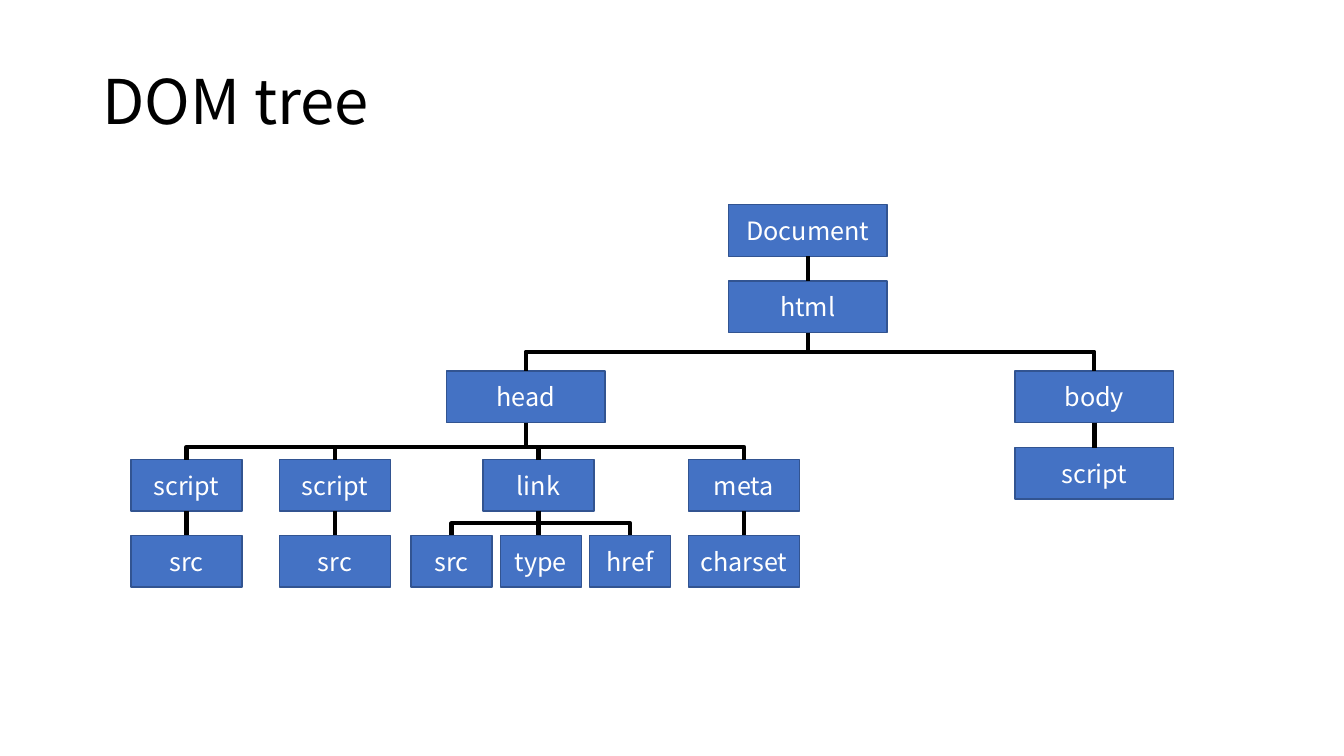
from dataclasses import dataclass
from enum import Enum
from typing import Any

from lxml.etree import SubElement
from pptx import Presentation
from pptx.dml.color import RGBColor
from pptx.enum.shapes import MSO_CONNECTOR, MSO_SHAPE
from pptx.enum.text import MSO_ANCHOR, PP_ALIGN
from pptx.oxml.ns import qn
from pptx.util import Cm, Pt

COLORS = {"box": "4472C4", "border": "325491", "ink": "000000", "label": "FFFFFF"}
FONT = "Noto Sans CJK KR"
TITLE_FONT = {"name": FONT, "size": Pt(44)}
LABEL_FONT = {"name": FONT, "size": Pt(18)}
WIDE, MEDIUM, NARROW = 4.0, 2.8, 2.04
BOX_H = 1.3
BUS_Y = 11.26


class Join(Enum):
    """How a node is joined to its children."""
    FORK = "fork"
    BUS = "bus"


@dataclass(frozen=True)
class Node:
    """A box of the tree: centre x, top and width in cm."""
    label: str
    x: float
    top: float
    width: float = MEDIUM
    children: tuple["Node", ...] = ()
    join: Join = Join.FORK

    @property
    def bottom(self) -> float:
        """Lower edge in cm."""
        return self.top + BOX_H


TAG_Y, ATTR_Y = 11.58, 13.49
ATTRS = tuple(Node(name, 11.38 + 2.25 * i, ATTR_Y, NARROW)
              for i, name in enumerate(("src", "type", "href")))
HEAD = Node("head", 13.25, 9.35, WIDE, (
    Node("script", 4.7, TAG_Y, children=(Node("src", 4.7, ATTR_Y),)),
    Node("script", 8.44, TAG_Y, children=(Node("src", 8.44, ATTR_Y),)),
    Node("link", 13.57, TAG_Y, children=ATTRS),
    Node("meta", 18.75, TAG_Y, children=(Node("charset", 18.75, ATTR_Y),)),
), Join.BUS)
BODY = Node("body", 27.58, 9.35, WIDE, (Node("script", 27.58, 11.28, WIDE),))
HTML = Node("html", 20.36, 7.08, WIDE, (HEAD, BODY))
DOCUMENT = Node("Document", 20.36, 5.16, WIDE, (HTML,))


def rgb(key: str) -> RGBColor:
    """Look up a palette colour."""
    return RGBColor.from_string(COLORS[key])


def apply(target: Any, values: dict[str, Any]) -> None:
    """Set each named attribute on the target."""
    for name, value in values.items():
        setattr(target, name, value)


def write(sp: Any, text: str, font: dict[str, Any], color: str, para: dict[str, Any]) -> None:
    """Put one vertically centred paragraph in a shape."""
    tf = sp.text_frame
    apply(tf, {"word_wrap": True, "vertical_anchor": MSO_ANCHOR.MIDDLE})
    p = tf.paragraphs[0]
    apply(p, para)
    r = p.add_run()
    r.text = text
    apply(r.font, font)
    r.font.color.rgb = rgb(color)


def draw_box(s: Any, node: Node) -> None:
    """Draw a node's labelled rectangle."""
    sp = s.shapes.add_shape(MSO_SHAPE.RECTANGLE, Cm(node.x - node.width / 2),
                            Cm(node.top), Cm(node.width), Cm(BOX_H))
    sp.shadow.inherit = False
    sp.fill.solid()
    sp.fill.fore_color.rgb = rgb("box")
    sp.line.color.rgb = rgb("border")
    sp.line.width = Pt(1)
    write(sp, node.label, LABEL_FONT, "label", {"alignment": PP_ALIGN.CENTER})


def draw_line(s: Any, kind: MSO_CONNECTOR, x1: float, y1: float, x2: float, y2: float) -> Any:
    """Draw a black connector and return its shape properties."""
    sp = s.shapes.add_connector(kind, Cm(x1), Cm(y1), Cm(x2), Cm(y2))
    sp.line.color.rgb = rgb("ink")
    sp.line.width = Pt(3)
    props = sp._element.spPr
    SubElement(props, qn("a:effectLst"))
    return props


def draw_fork(s: Any, node: Node, child: Node) -> None:
    """Join down, across and down, by turning an elbow on its side."""
    dx, dy = abs(child.x - node.x), child.top - node.bottom
    if dx < 0.2:
        draw_line(s, MSO_CONNECTOR.STRAIGHT, node.x, node.bottom, node.x, child.top)
        return
    cx, cy = (node.x + child.x) / 2, (node.bottom + child.top) / 2
    props = draw_line(s, MSO_CONNECTOR.ELBOW, cx - dy / 2, cy - dx / 2,
                      cx + dy / 2, cy + dx / 2)
    to_left = child.x < node.x
    turn = {"rot": "5400000"} if to_left else {"rot": "16200000", "flipH": "1"}
    for name, value in turn.items():
        props.find(qn("a:xfrm")).set(name, value)


def draw_bus(s: Any, node: Node) -> None:
    """Join by a short trunk and one-corner branches along a shared bar."""
    draw_line(s, MSO_CONNECTOR.STRAIGHT, node.x, node.bottom, node.x, BUS_Y)
    for child in node.children:
        props = draw_line(s, MSO_CONNECTOR.ELBOW, node.x, BUS_Y, child.x, child.top)
        props.find(qn("a:prstGeom")).set("prst", "bentConnector2")


def draw_tree(s: Any, node: Node) -> None:
    """Draw a node, its joins and all that hangs below."""
    draw_box(s, node)
    for child in node.children:
        draw_tree(s, child)
    if node.join is Join.BUS:
        draw_bus(s, node)
    else:
        for child in node.children:
            draw_fork(s, node, child)


prs = Presentation()
apply(prs, {"slide_width": Cm(33.87), "slide_height": Cm(19.05)})
s = prs.slides.add_slide(prs.slide_layouts[6])
title = s.shapes.add_textbox(Cm(2.33), Cm(0.8), Cm(29.21), Cm(3.68))
write(title, "DOM tree", TITLE_FONT, "ink", {"line_spacing": 0.9})
draw_tree(s, DOCUMENT)
prs.save("out.pptx")
